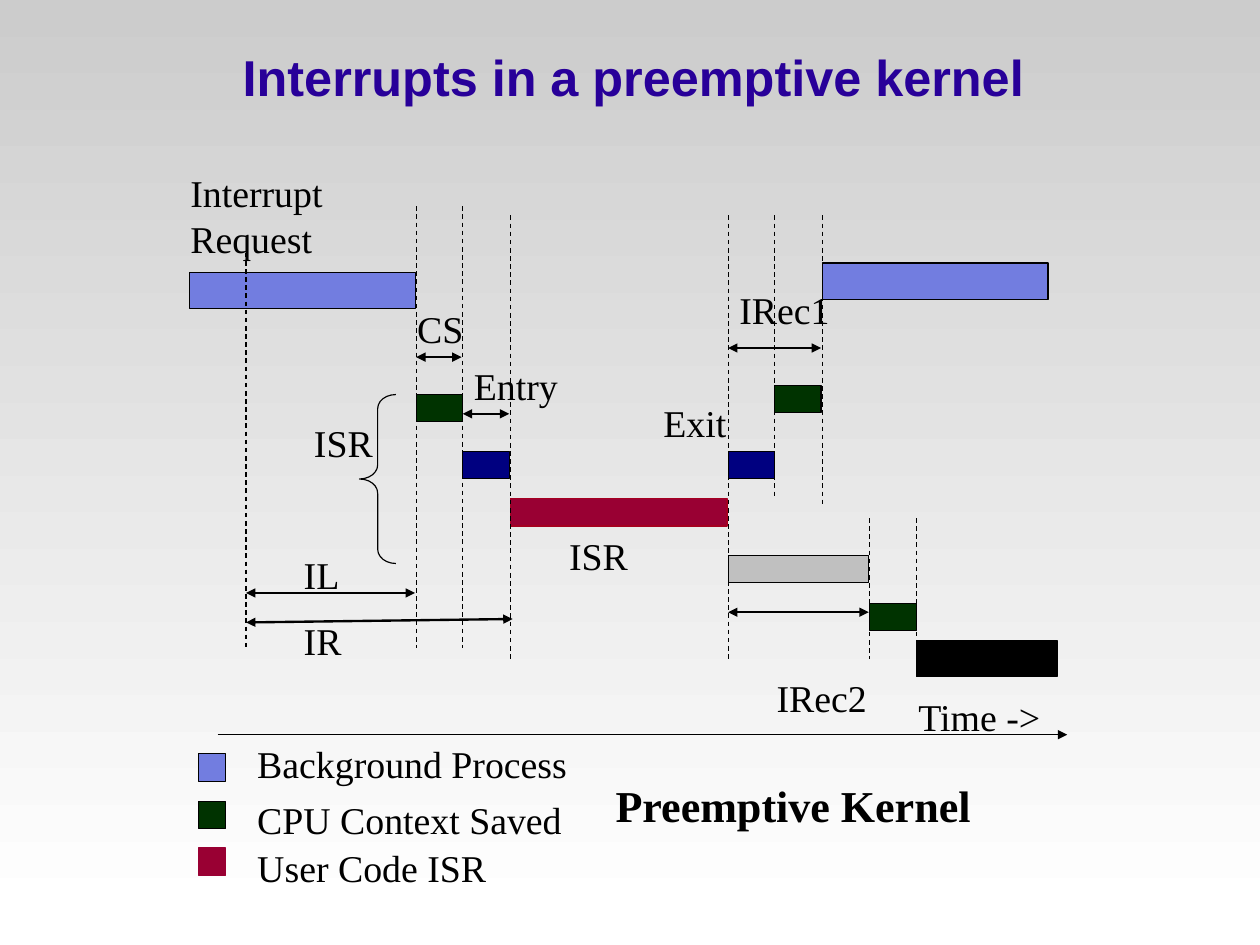
from lxml.etree import SubElement
from pptx import Presentation
from pptx.dml.color import RGBColor as RGB
from pptx.enum.dml import MSO_LINE
from pptx.enum.shapes import MSO_CONNECTOR, MSO_SHAPE
from pptx.enum.text import MSO_ANCHOR, PP_ALIGN
from pptx.oxml.ns import qn
from pptx.util import Emu, Pt

PX = 9144  # 100 px to the inch


class Theme:
    black = RGB.from_string("000000")
    title = RGB.from_string("280099")
    background_bar = RGB.from_string("727DE0")
    context = RGB.from_string("003300")
    user_code = RGB.from_string("990033")
    user_code_edge = RGB.from_string("A50021")
    entry_exit = RGB.from_string("000080")
    scheduler = RGB.from_string("C0C0C0")
    page_top = RGB.from_string("CCCCCC")
    page_bottom = RGB.from_string("FFFFFF")
    heading_font, body_font = "Arial", "Times New Roman"
    title_size, caption_size, label_size = Pt(32), Pt(28), Pt(24)
    thin, thick = Pt(0.75), Pt(1.5)


deck = Presentation()
deck.slide_width, deck.slide_height = Emu(10158413), Emu(7621588)
page = deck.slides.add_slide(deck.slide_layouts[6])
shapes = page.shapes


def add_text(text, left, top, width, height, size=Theme.label_size,
             bold=False, font=Theme.body_font, color=Theme.black):
    """Add a text box with one paragraph per line of text."""
    box = shapes.add_textbox(left * PX, top * PX, width * PX, height * PX)
    box.text_frame.word_wrap = True
    box.text_frame.text = text
    for para in box.text_frame.paragraphs:
        para.font.name, para.font.size, para.font.bold = font, size, bold
        para.font.color.rgb = color
    return box.text_frame


def add_line(x1, y1, x2, y2, width=Theme.thin, dashed=False, ends=()):
    """Add a line; ends lists the arrowheads, headEnd before tailEnd."""
    line = shapes.add_connector(MSO_CONNECTOR.STRAIGHT, x1 * PX, y1 * PX, x2 * PX, y2 * PX)
    line.line.color.rgb = Theme.black
    line.line.width = width
    if dashed:
        line.line.dash_style = MSO_LINE.DASH
    properties = line._element.spPr
    for end in ends:
        SubElement(properties.find(qn("a:ln")), qn(f"a:{end}"), type="triangle")
    SubElement(properties, qn("a:effectLst"))


# Backdrop and title
backdrop = shapes.add_shape(MSO_SHAPE.RECTANGLE, 0, 0, 1111 * PX, 807 * PX)
backdrop.shadow.inherit = False
backdrop.line.fill.background()
backdrop.fill.gradient()
backdrop.fill.gradient_angle = 270
for stop, color, position in zip(backdrop.fill.gradient_stops,
                                 (Theme.page_top, Theme.page_bottom), (0, 1)):
    stop.color.rgb, stop.position = color, position

title = add_text("Interrupts in a preemptive kernel", 59, 31, 1000, 75,
                 Theme.title_size, True, Theme.heading_font, Theme.title)
title.margin_left = title.margin_right = title.margin_bottom = 0
title.margin_top = 3 * PX
title.vertical_anchor = MSO_ANCHOR.MIDDLE
title.paragraphs[0].alignment = PP_ALIGN.CENTER
title.paragraphs[0].line_spacing = 0.93

# Moments on the time axis
REQUEST, SAVE, ENTRY, USER, EXIT, RESTORE, RESUME = 217, 367, 408, 450, 642, 683, 725
SWITCH, NEW_TASK = 767, 808

# Bars of the timeline, then the swatches of the legend
bars = [
    (167, 240, 199, 32, Theme.background_bar, Theme.black),
    (RESUME, 232, 199, 32, Theme.background_bar, Theme.black),
    (SAVE, 348, 41, 24, Theme.context, Theme.black),
    (RESTORE, 340, 41, 24, Theme.context, Theme.black),
    (ENTRY, 398, 41, 24, Theme.entry_exit, Theme.black),
    (EXIT, 398, 41, 24, Theme.entry_exit, Theme.black),
    (USER, 440, 191, 24, Theme.user_code, Theme.user_code_edge),
    (EXIT, 490, 124, 24, Theme.scheduler, Theme.black),
    (SWITCH, 532, 41, 24, Theme.context, Theme.black),
    (NEW_TASK, 565, 124, 32, Theme.black, Theme.black),
]
legend = [
    ("Background Process", 665, 648, Theme.background_bar, Theme.black),
    ("CPU Context Saved", 707, 698, Theme.context, Theme.black),
    ("User Code ISR", 748, 740, Theme.user_code, Theme.user_code),
]
swatches = [(175, top, 24, 24, fill, edge) for _, top, _, fill, edge in legend]
for left, top, width, height, fill, edge in bars + swatches:
    bar = shapes.add_shape(MSO_SHAPE.RECTANGLE, left * PX, top * PX, width * PX, height * PX)
    bar.shadow.inherit = False
    bar.fill.solid()
    bar.fill.fore_color.rgb = fill
    bar.line.color.rgb = edge
    bar.line.width = Theme.thin

# Dashed markers
for x, top, bottom in [(REQUEST, 223, 572), (SAVE, 182, 572), (ENTRY, 182, 572),
                       (USER, 190, 581), (EXIT, 190, 581), (RESTORE, 190, 439),
                       (RESUME, 190, 447), (SWITCH, 457, 581), (NEW_TASK, 457, 589)]:
    add_line(x, top, x, bottom, dashed=True)

# Measured spans and the time axis
for start, start_y, end, end_y in [(REQUEST, 523, 366, 523), (REQUEST, 549, 452, 546),
                                   (EXIT, 307, 724, 307), (SAVE, 315, 407, 315),
                                   (ENTRY, 365, 449, 365), (EXIT, 540, 766, 540)]:
    add_line(start, start_y, end, end_y, Theme.thick, ends=("headEnd", "tailEnd"))
add_line(192, 648, 941, 648, ends=("tailEnd",))

brace = shapes.add_shape(MSO_SHAPE.LEFT_BRACE, 317 * PX, 348 * PX, 32 * PX, 149 * PX)
brace.shadow.inherit = False
brace.adjustments[0] = 0.39
brace.fill.background()
brace.line.color.rgb = Theme.black
brace.line.width = Theme.thin

# Labels
for text, left, top, width in [("ISR", 267, 365, 82), ("CS", 358, 265, 66),
                               ("Entry", 408, 315, 99), ("Exit", 575, 348, 82),
                               ("ISR", 492, 465, 124), ("IL", 258, 482, 57),
                               ("IR", 258, 540, 57), ("IRec1", 642, 248, 107),
                               ("IRec2", 675, 590, 107), ("Time ->", 800, 607, 141)]:
    add_text(text, left, top, width, 50)
for text, _, top, _, _ in legend:
    add_text(text, 217, top, 307, 50)
add_text("Preemptive Kernel", 533, 682, 466, 57, Theme.caption_size, True)

request = add_text("Interrupt\nRequest", 158, 162, 282, 71)
for para in request.paragraphs:
    para.line_spacing = 0.5
request.paragraphs[1].space_before = Pt(15)

deck.save("out.pptx")
